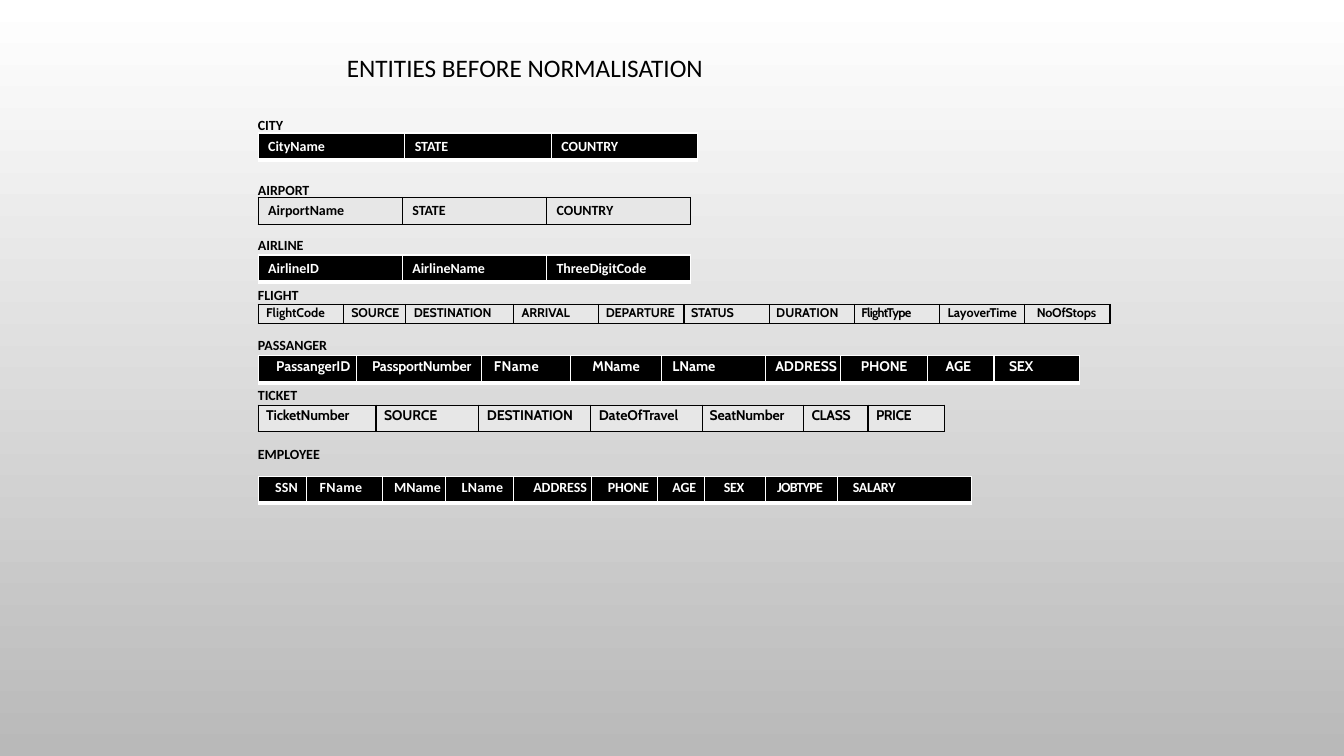
import pptx
import pptx.dml.color
import pptx.enum.text
import pptx.oxml.ns
import pptx.util
from lxml import etree

COLORS = {"black": "000000", "white": "FFFFFF", "cell": "E7E7E7", "shade": "B9B9B9"}

# Fill, text colour, line colour and bottom line width of the two table looks
DARK = {"fill": "black", "text": "white", "line": "white", "bottom": 3}
LIGHT = {"fill": "cell", "text": "black", "line": "black", "bottom": 1}

# Fine grid over the slide, used for every length
COLUMNS, ROWS = 1333, 750
LABEL_LEFT, TABLE_LEFT, LABEL_HEIGHT = 246, 256, 27


def rgb(name):
    return pptx.dml.color.RGBColor.from_string(COLORS[name])


def set_all(target, values):
    for name, value in values.items():
        setattr(target, name, value)


class EntitySlide:
    """Holds the style and the current slide."""

    def __init__(self, presentation):
        presentation.slide_width = pptx.util.Inches(13.33)
        presentation.slide_height = pptx.util.Inches(7.5)
        self.column = presentation.slide_width / COLUMNS
        self.row = presentation.slide_height / ROWS
        self.slide = presentation.slides.add_slide(presentation.slide_layouts[5])

    def across(self, columns):
        return round(columns * self.column)

    def down(self, rows):
        return round(rows * self.row)

    def box(self, left, top, width, height):
        return self.across(left), self.down(top), self.across(width), self.down(height)

    def background(self, start, end):
        fill = self.slide.background.fill
        fill.gradient()
        fill.gradient_angle = 270
        for stop, position, color in zip(fill.gradient_stops, (0, 1), (start, end)):
            stop.position = position
            stop.color.rgb = rgb(color)

    def add_text(self, frame, text, color="black", spacing=0, align="LEFT", **font):
        paragraph = frame.paragraphs[0]
        paragraph.alignment = getattr(pptx.enum.text.PP_ALIGN, align)
        run = paragraph.add_run()
        run.text = text
        style = {"name": "Calibri", "size": pptx.util.Pt(10), "bold": True}
        set_all(run.font, {**style, **font})
        run.font.color.rgb = rgb(color)
        if spacing:
            run._r.get_or_add_rPr().set("spc", str(round(spacing * 100)))

    def title(self, text, *place):
        shape = self.slide.shapes.title
        set_all(shape, dict(zip(("left", "top", "width", "height"), self.box(*place))))
        set_all(shape.text_frame, {
            "word_wrap": True,
            "auto_size": pptx.enum.text.MSO_AUTO_SIZE.SHAPE_TO_FIT_TEXT,
            "vertical_anchor": pptx.enum.text.MSO_ANCHOR.TOP,
        })
        self.add_text(shape.text_frame, text, size=pptx.util.Pt(18), bold=False)

    def label(self, text, top, width):
        shape = self.slide.shapes.add_textbox(*self.box(LABEL_LEFT, top, width, LABEL_HEIGHT))
        set_all(shape.text_frame, {
            "word_wrap": True,
            "auto_size": pptx.enum.text.MSO_AUTO_SIZE.SHAPE_TO_FIT_TEXT,
        })
        self.add_text(shape.text_frame, text)

    def borders(self, cell, look):
        properties = cell._tc.get_or_add_tcPr()
        for side, width in (("L", 1), ("R", 1), ("T", 1), ("B", look["bottom"])):
            line = etree.SubElement(properties, pptx.oxml.ns.qn("a:ln" + side),
                                    w=str(pptx.util.Pt(width)))
            fill = etree.SubElement(line, pptx.oxml.ns.qn("a:solidFill"))
            etree.SubElement(fill, pptx.oxml.ns.qn("a:srgbClr"), val=COLORS[look["line"]])

    def table(self, top, height, look, fields, inset, name="Calibri", size=10):
        width = sum(field[1] for field in fields)
        frame = self.slide.shapes.add_table(
            1, len(fields), *self.box(TABLE_LEFT, top, width, height))
        table = frame.table
        set_all(table, {"first_row": False, "horz_banding": False})
        for index, (text, field_width, indent, spacing) in enumerate(fields):
            table.columns[index].width = self.across(field_width)
            cell = table.cell(0, index)
            set_all(cell, {
                "margin_left": self.across(indent or 0), "margin_right": 0,
                "margin_top": self.down(inset), "margin_bottom": 0,
            })
            self.borders(cell, look)
            cell.fill.solid()
            cell.fill.fore_color.rgb = rgb(look["fill"])
            self.add_text(cell.text_frame, text, look["text"], spacing,
                          "CENTER" if indent is None else "LEFT",
                          name=name, size=pptx.util.Pt(size))


def even(width, *names):
    return [(name, width, 10, 0) for name in names]


# Fields: name, width, indent (None centres the name), letter spacing
FLIGHT = [
    ("FlightCode", 84.5, 8, 0), ("SOURCE", 62, 8, -0.1), ("DESTINATION", 107, 8, -0.1),
    ("ARRIVAL", 84.5, 8, -0.1), ("DEPARTURE", 84.5, 7, -0.1), ("STATUS", 84.5, 7, -0.2),
    ("DURATION", 84.5, 7, 0), ("FlightType", 84.5, 7, -0.5), ("LayoverTime", 84.5, 8, 0),
    ("NoOfStops", 84.5, 12, -0.1),
]
PASSANGER = [
    ("PassangerID", 98, 18, 0), ("PassportNumber", 124, 15, -0.1), ("FName", 88, 12, 0.3),
    ("MName", 90, None, 0), ("LName", 103, 11, 0), ("ADDRESS", 75, 10, 0),
    ("PHONE", 86, 20, -0.1), ("AGE", 66, 18, -0.1), ("SEX", 85, 15, -0.2),
]
TICKET = [
    ("TicketNumber", 117, 8, -0.1), ("SOURCE", 102, 8, -0.1), ("DESTINATION", 111, 8, -0.1),
    ("DateOfTravel", 111, 8, 0), ("SeatNumber", 100, 7, -0.1), ("CLASS", 64, 8, -0.2),
    ("PRICE", 76, 8, -0.3),
]
EMPLOYEE = [
    ("SSN", 48, 17, 0.1), ("FName", 75, 13, 0.3), ("MName", 63, 12, 0), ("LName", 67, 16, 0.2),
    ("ADDRESS", 78, 20, 0), ("PHONE", 65, 16, -0.1), ("AGE", 47, 15, -0.1),
    ("SEX", 60, 19, -0.2), ("JOBTYPE", 72, 12, -0.5), ("SALARY", 133, 15, -0.2),
]

# Entities: label, label top, label width, then the table's arguments
ENTITIES = [
    ("CITY", 111, 57, 132, 27, DARK, even(145.4, "CityName", "STATE", "COUNTRY"), 5),
    ("AIRPORT", 175, 97, 196, 27, LIGHT, even(143, "AirportName", "STATE", "COUNTRY"), 5),
    ("AIRLINE", 230, 97, 253, 27, DARK,
     even(143, "AirlineID", "AirlineName", "ThreeDigitCode"), 5),
    ("FLIGHT", 279, 87, 302, 19, LIGHT, FLIGHT, 1, "Cabin", 9),
    ("PASSANGER", 329, 165, 353, 27, DARK, PASSANGER, 2, "Cabin"),
    ("TICKET", 379, 80, 402, 26, LIGHT, TICKET, 2, "Cabin"),
    ("EMPLOYEE", 437, 109, 473, 26, DARK, EMPLOYEE, 2),
]


def main():
    presentation = pptx.Presentation()
    page = EntitySlide(presentation)
    page.background("white", "shade")
    page.title("ENTITIES BEFORE NORMALISATION", 334, 47, 564, 40)
    for name, label_top, label_width, *table in ENTITIES:
        page.label(name, label_top, label_width)
        page.table(*table)
    presentation.save("out.pptx")


if __name__ == "__main__":
    main()
